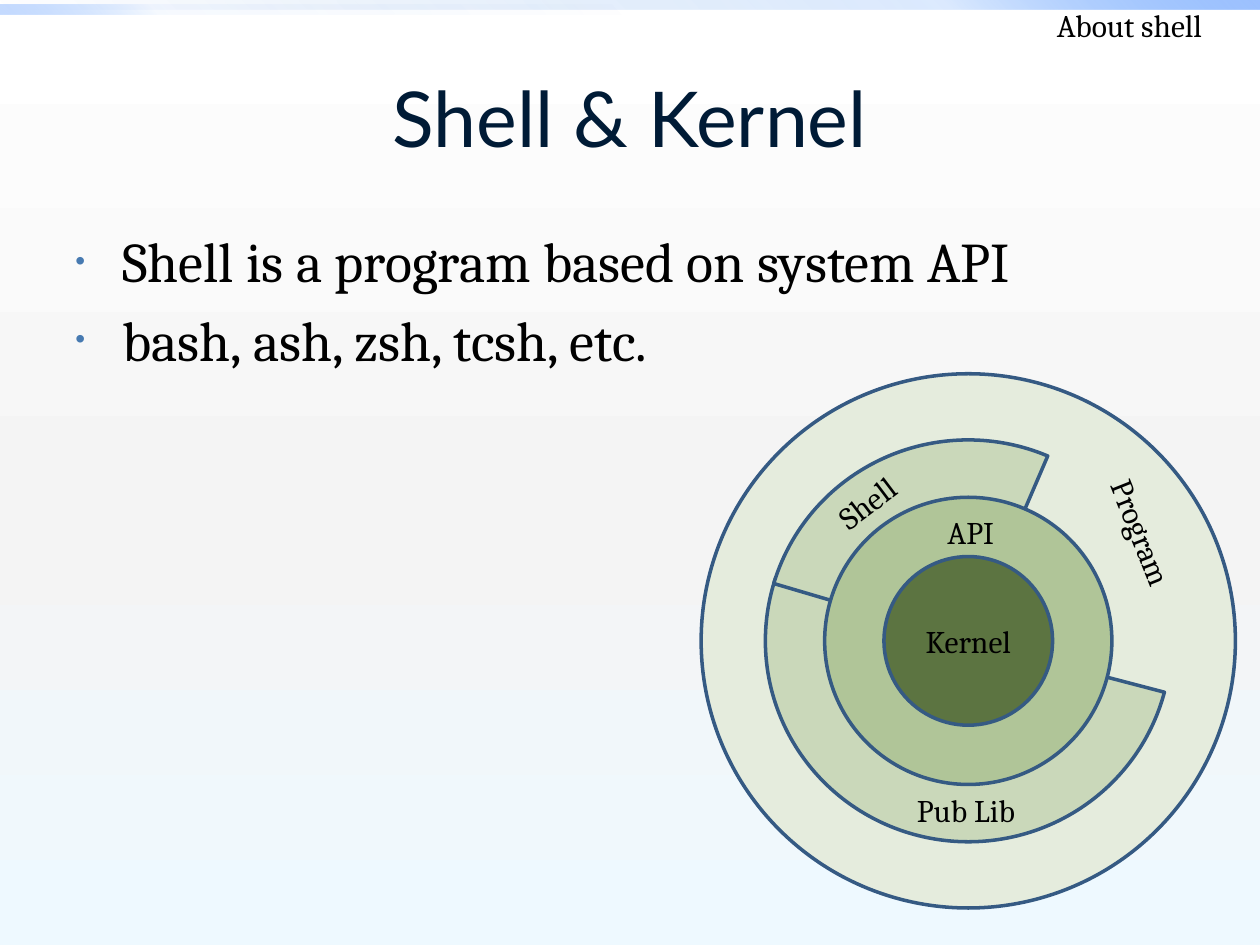
from lxml import etree
from pptx import Presentation
from pptx.dml.color import RGBColor
from pptx.enum.shapes import MSO_SHAPE
from pptx.enum.text import MSO_ANCHOR, MSO_AUTO_SIZE, PP_ALIGN
from pptx.oxml.ns import qn
from pptx.util import Cm, Pt

RECTANGLE, OVAL, PIE = MSO_SHAPE.RECTANGLE, MSO_SHAPE.OVAL, MSO_SHAPE.PIE
CENTER, MIDDLE = PP_ALIGN.CENTER, MSO_ANCHOR.MIDDLE
FIT_SHAPE = MSO_AUTO_SIZE.SHAPE_TO_FIT_TEXT

COLORS = {
    "title": "001B36", "text": "000000", "bullet": "477AB1", "outline": "355A83",
    "program": "E5ECDD", "library": "CAD8BA", "api": "B0C598", "kernel": "5C7441",
    "white": "FFFFFF", "gray": "F4F4F4", "ice": "EEF9FF",
    "deep": "0058B7", "blue": "4F95FF", "sky": "9EC2FF",
}
TITLE = "Shell & Kernel"
BULLETS = ["Shell is a program based on system API", "bash, ash, zsh, tcsh, etc."]

# Gradient stops: position %, color, opacity %
BACKGROUND = [(0, "white", 100), (55, "gray", 100), (100, "ice", 100)]
# Top bars: left, top, width, height in cm, stops, angle
BARS = [
    (0, 0, 25.4, 0.2, [(0, "deep", 0), (75, "blue", 20), (100, "sky", 100)], 315),
    (0, 0.1, 12.7, 0.2, [(0, "deep", 0), (75, "blue", 5), (100, "sky", 60)], 135),
]
# Rings from the outside in: width, height in cm, color, start and end angle, text
RING_CENTER = (19.52, 12.92)
RINGS = [
    (10.77, 10.77, "program", None, ""),
    (8.18, 8.1, "library", (14.67, 197.88), ""),
    (8.18, 8.1, "library", (196.42, 293.27), ""),
    (5.79, 5.79, "api", None, ""),
    (3.4, 3.4, "kernel", None, "Kernel"),
]
# Labels: text, center x, center y, width in cm, rotation, wrap
LABEL_HEIGHT = 1.02
LABELS = [
    ("API", 19.65, 10.72, 1.6, 0, True),
    ("Shell", 17.5, 10.11, 1.83, 322.9, False),
    ("Pub Lib", 19.53, 16.33, 2.59, 0, False),
    ("Program", 23.14, 11.05, 3.4, 68.3, True),
    ("About shell", 22.86, 0.51, 3.61, 0, False),
]


def rgb(name):
    return RGBColor.from_string(COLORS[name])


def centered_box(x, y, width, height):
    return Cm(x - width / 2), Cm(y - height / 2), Cm(width), Cm(height)


def add_run(paragraph, text, size=18, font="Cambria", color="text"):
    run = paragraph.add_run()
    run.text = text
    run.font.size = Pt(size)
    run.font.name = font
    run.font.color.rgb = rgb(color)


def set_gradient(fill, element, stops, angle):
    fill.gradient()
    gradient = element.find(".//" + qn("a:gradFill"))
    for child in list(gradient):
        gradient.remove(child)
    stop_list = etree.SubElement(gradient, qn("a:gsLst"))
    for position, color, opacity in stops:
        stop = etree.SubElement(stop_list, qn("a:gs"), pos=str(position * 1000))
        tone = etree.SubElement(stop, qn("a:srgbClr"), val=COLORS[color])
        if opacity < 100:
            etree.SubElement(tone, qn("a:alpha"), val=str(opacity * 1000))
    etree.SubElement(gradient, qn("a:lin"), ang=str(angle * 60000), scaled="0")


def set_bullet(paragraph):
    properties = paragraph._p.get_or_add_pPr()
    properties.set("marL", str(Cm(0.95)))
    properties.set("indent", str(-Cm(0.95)))
    bullet_color = etree.SubElement(properties, qn("a:buClr"))
    etree.SubElement(bullet_color, qn("a:srgbClr"), val=COLORS["bullet"])
    etree.SubElement(properties, qn("a:buSzPct"), val="50000")
    etree.SubElement(properties, qn("a:buFont"), typeface="Arial")
    etree.SubElement(properties, qn("a:buChar"), char="•")


def main():
    presentation = Presentation()
    presentation.slide_width, presentation.slide_height = Cm(25.4), Cm(19.05)
    slide = presentation.slides.add_slide(presentation.slide_layouts[5])
    shapes = slide.shapes

    # Background and top bars
    set_gradient(slide.background.fill, slide._element, BACKGROUND, 90)
    for left, top, width, height, stops, angle in BARS:
        bar = shapes.add_shape(RECTANGLE, Cm(left), Cm(top), Cm(width), Cm(height))
        bar.shadow.inherit = False
        bar.line.fill.background()
        set_gradient(bar.fill, bar._element, stops, angle)

    # Title
    title = shapes.title
    title.left, title.top, title.width, title.height = Cm(1.27), Cm(0.76), Cm(22.86), Cm(3.18)
    title.text_frame.vertical_anchor = MIDDLE
    paragraph = title.text_frame.paragraphs[0]
    paragraph.alignment = CENTER
    add_run(paragraph, TITLE, 44, "Lato", "title")

    # Bullets
    frame = shapes.add_textbox(Cm(1.27), Cm(4.45), Cm(22.86), Cm(12.57)).text_frame
    frame.word_wrap = True
    for index, text in enumerate(BULLETS):
        paragraph = frame.add_paragraph() if index else frame.paragraphs[0]
        paragraph.space_before = Pt(6.4)
        set_bullet(paragraph)
        add_run(paragraph, text, 32)

    # Rings
    for width, height, color, angles, text in RINGS:
        ring = shapes.add_shape(PIE if angles else OVAL,
                                *centered_box(*RING_CENTER, width, height))
        ring.shadow.inherit = False
        ring.fill.solid()
        ring.fill.fore_color.rgb = rgb(color)
        ring.line.color.rgb = rgb("outline")
        ring.line.width = Pt(2)
        if angles:
            for index, angle in enumerate(angles):
                ring.adjustments[index] = angle * 0.6
        if text:
            ring.text_frame.vertical_anchor = MIDDLE
            paragraph = ring.text_frame.paragraphs[0]
            paragraph.alignment = CENTER
            add_run(paragraph, text)

    # Labels
    for text, x, y, width, rotation, wrap in LABELS:
        label = shapes.add_textbox(*centered_box(x, y, width, LABEL_HEIGHT))
        label.rotation = rotation
        label.text_frame.word_wrap = wrap
        label.text_frame.auto_size = FIT_SHAPE
        add_run(label.text_frame.paragraphs[0], text)

    presentation.save("out.pptx")


if __name__ == "__main__":
    main()
